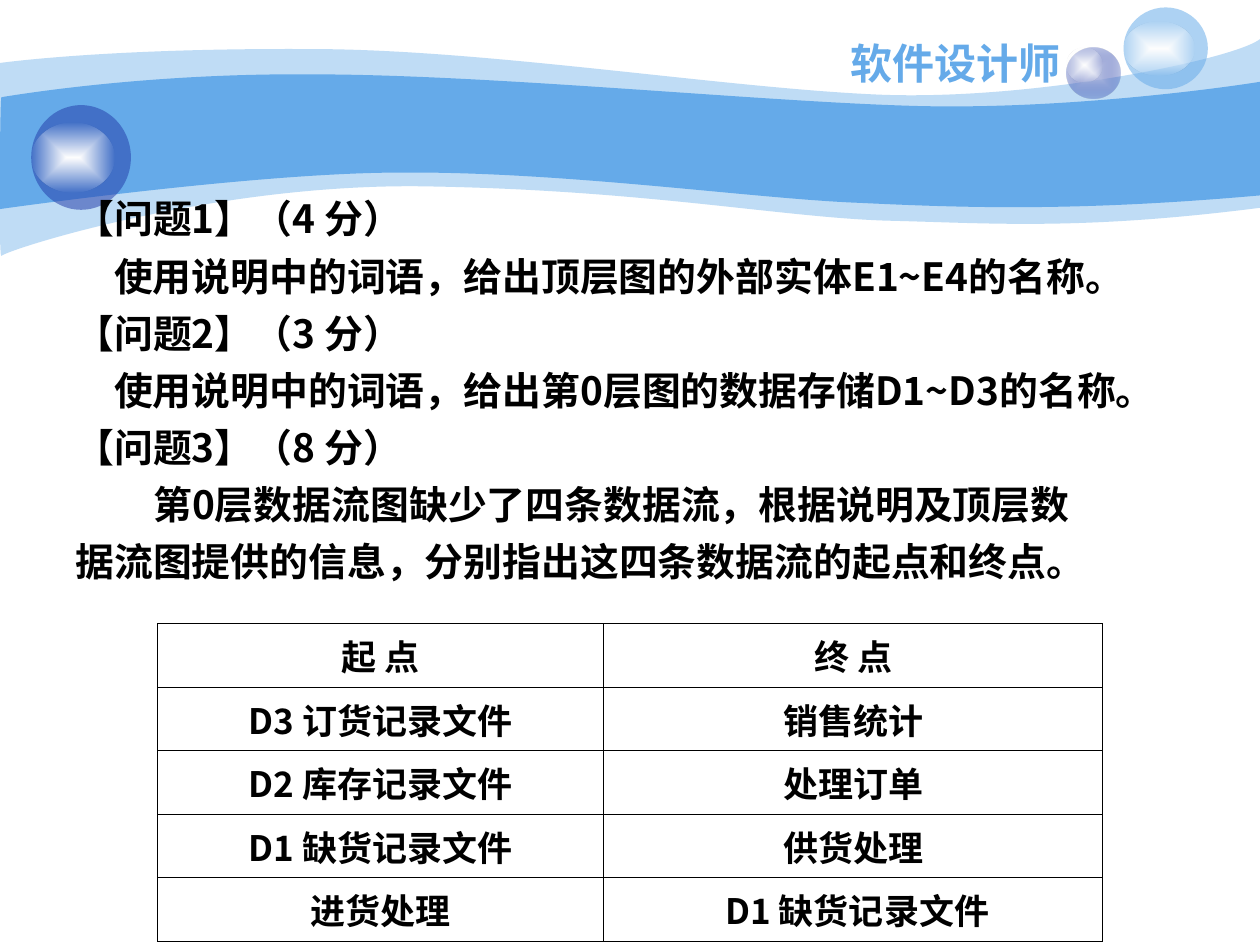
from lxml.etree import SubElement
from pptx import Presentation
from pptx.dml.color import RGBColor
from pptx.enum.shapes import MSO_SHAPE as Preset
from pptx.enum.text import MSO_ANCHOR as Anchor, PP_ALIGN as Align
from pptx.oxml import parse_xml
from pptx.oxml.ns import nsdecls, qn
from pptx.util import Cm, Pt

BLUE, NAVY, BLACK = "65AAE9", "233DA9", "000000"
GLOW = [(0, "FFFFFF", 100), (100, "FEFEFE", 0)]


def color(hex_string):
    return RGBColor.from_string(hex_string)


class SlideBuilder:
    font = "Noto Sans CJK SC"

    def __init__(self, slide):
        self.slide = slide

    def paint(self, shape, fill, alpha=100):
        """Solid fill for a hex string, centred gradient for a list of stops."""
        shape.shadow.inherit = False
        shape.line.fill.background()
        properties = shape._element.spPr
        if isinstance(fill, str):
            shape.fill.solid()
            shape.fill.fore_color.rgb = color(fill)
            tone = properties.find(qn("a:solidFill"))[0]
            if alpha < 100:
                SubElement(tone, qn("a:alpha")).set("val", str(alpha * 1000))
            return
        stops = "".join(
            f'<a:gs pos="{place * 1000}"><a:srgbClr val="{tone}">'
            f'<a:alpha val="{opacity * 1000}"/></a:srgbClr></a:gs>'
            for place, tone, opacity in fill)
        shape.fill.background()
        properties.replace(properties.find(qn("a:noFill")), parse_xml(
            f'<a:gradFill {nsdecls("a")} rotWithShape="1"><a:gsLst>{stops}</a:gsLst>'
            '<a:path path="rect"><a:fillToRect l="50000" t="50000" r="50000" b="50000"/>'
            '</a:path></a:gradFill>'))

    def band(self, start, segments, fill, alpha=100):
        """Outline of curves (three points each) and straight lines (one point)."""
        builder = self.slide.shapes.build_freeform(Cm(start[0]), Cm(start[1]))
        builder.add_line_segments(
            [(Cm(x), Cm(y)) for segment in segments for x, y in segment], close=True)
        shape = builder.convert_to_shape()
        lines = iter(list(shape._element.iter(qn("a:lnTo"))))
        for segment in segments:
            parts = [next(lines) for _ in segment]
            if len(parts) == 3:
                curve = parse_xml(f'<a:cubicBezTo {nsdecls("a")}/>')
                parts[0].addprevious(curve)
                for part in parts:
                    curve.append(part[0])
                    part.getparent().remove(part)
        self.paint(shape, fill, alpha)

    def sphere(self, body, glow, fill, alpha=100):
        group = self.slide.shapes.add_group_shape()
        for box, tone, opacity in ((body, fill, alpha), (glow, GLOW, 100)):
            oval = group.shapes.add_shape(Preset.OVAL, *map(Cm, box))
            self.paint(oval, tone, opacity)

    def run(self, paragraph, text, size, tone=BLACK):
        run = paragraph.add_run()
        run.text = text
        run.font.size, run.font.bold, run.font.name = Pt(size), True, self.font
        run.font.color.rgb = color(tone)
        SubElement(run._r.get_or_add_rPr(), qn("a:ea")).set("typeface", self.font)

    def text_frame(self, box, wrap=True, anchor=Anchor.TOP):
        frame = self.slide.shapes.add_textbox(*map(Cm, box)).text_frame
        frame.word_wrap, frame.vertical_anchor = wrap, anchor
        return frame

    def title(self, text, box):
        paragraph = self.text_frame(box, False, Anchor.MIDDLE).paragraphs[0]
        paragraph.alignment = Align.CENTER
        self.run(paragraph, text, 24, BLUE)

    def body(self, lines, box):
        frame = self.text_frame(box)
        for index, (indent, text) in enumerate(lines):
            paragraph = frame.add_paragraph() if index else frame.paragraphs[0]
            paragraph.space_before = Pt(6 if index else 0)
            paragraph._p.get_or_add_pPr().set("marL", str(Cm(indent)))
            self.run(paragraph, text, 22.2)

    def table(self, rows, left, top, widths, row_height):
        table = self.slide.shapes.add_table(
            len(rows), len(widths), Cm(left), Cm(top),
            Cm(sum(widths)), Cm(row_height * len(rows))).table
        table.first_row = table.horz_banding = False
        for column, width in zip(table.columns, widths):
            column.width = Cm(width)
        for row, texts in zip(table.rows, rows):
            row.height = Cm(row_height)
            for cell, text in zip(row.cells, texts):
                cell.fill.background()
                self.borders(cell)
                paragraph = cell.text_frame.paragraphs[0]
                paragraph.alignment = Align.CENTER
                self.run(paragraph, text, 20)

    def borders(self, cell):
        properties = cell._tc.get_or_add_tcPr()
        for index, side in enumerate("LRTB"):
            properties.insert(index, parse_xml(
                f'<a:ln{side} {nsdecls("a")} w="{Pt(0.45)}"><a:solidFill>'
                f'<a:srgbClr val="{BLACK}"/></a:solidFill></a:ln{side}>'))


def main():
    presentation = Presentation()
    presentation.slide_width, presentation.slide_height = Cm(25.4), Cm(19.05)
    slide = presentation.slides.add_slide(presentation.slide_layouts[6])
    builder = SlideBuilder(slide)

    # Wavy bands: pale one behind, strong one in front
    builder.band((0, 1.27), [
        [(0.61, 1.19), (2.72, 0.97), (6.27, 0.99)],
        [(9.8, 0.99), (14.61, 1.78), (17.75, 1.91)],
        [(20.88, 2.03), (24.89, 1.19), (25.4, 0.79)],
        [(25.4, 4.19)],
        [(21.79, 4.65), (19.99, 4.5), (17.91, 4.45)],
        [(15.8, 4.39), (13.08, 3.84), (8.71, 3.76)],
        [(4.37, 3.66), (0.1, 5.05), (0.03, 5.16)],
        [(-0.03, 5.28), (0, 1.91), (0, 1.27)],
    ], BLUE, 41)
    builder.band((0.03, 1.96), [
        [(0.05, 1.96), (2.79, 1.47), (6.3, 1.5)],
        [(9.8, 1.5), (15.11, 2.03), (18.24, 2.13)],
        [(21.36, 2.24), (24.79, 1.75), (25.4, 1.65)],
        [(25.4, 3.94)],
        [(21.67, 4.27), (19.43, 4.19), (17.32, 4.09)],
        [(15.21, 4.01), (11.35, 3.45), (8.05, 3.48)],
        [(5.16, 3.48), (-0.05, 4.22), (-0.03, 4.22)],
        [(0, 4.22), (0, 1.96), (0.03, 1.96)],
    ], BLUE)

    # Glass spheres
    builder.sphere((21.51, 0.97, 1.07, 1.02), (21.51, 0.97, 0.71, 0.69),
                   [(0, "C6CCE8", 100), (100, NAVY, 31)])
    builder.sphere((22.65, 0.15, 1.7, 1.65), (22.65, 0.43, 1.42, 1.09), BLUE, 53)
    builder.sphere((0.63, 2.12, 2.01, 2.11), (0.63, 2.47, 1.68, 1.42), NAVY, 53)

    # Course title and questions
    builder.title("软件设计师", (15.24, 0.63, 8.05, 1.27))
    builder.body([
        (0, "【问题1】（4 分）"),
        (0.78, "使用说明中的词语，给出顶层图的外部实体E1~E4的名称。"),
        (0, "【问题2】（3 分）"),
        (0.78, "使用说明中的词语，给出第0层图的数据存储D1~D3的名称。"),
        (0, "【问题3】（8 分）"),
        (1.57, "第0层数据流图缺少了四条数据流，根据说明及顶层数"),
        (0, "据流图提供的信息，分别指出这四条数据流的起点和终点。"),
    ], (1.27, 3.81, 23.06, 8.89))

    # Missing data flows
    builder.table([
        ("起 点", "终 点"),
        ("D3 订货记录文件", "销售统计"),
        ("D2 库存记录文件", "处理订单"),
        ("D1 缺货记录文件", "供货处理"),
        ("进货处理", " D1 缺货记录文件"),
    ], 3.18, 12.57, (8.99, 10.06), 1.28)

    presentation.save("out.pptx")


if __name__ == "__main__":
    main()
